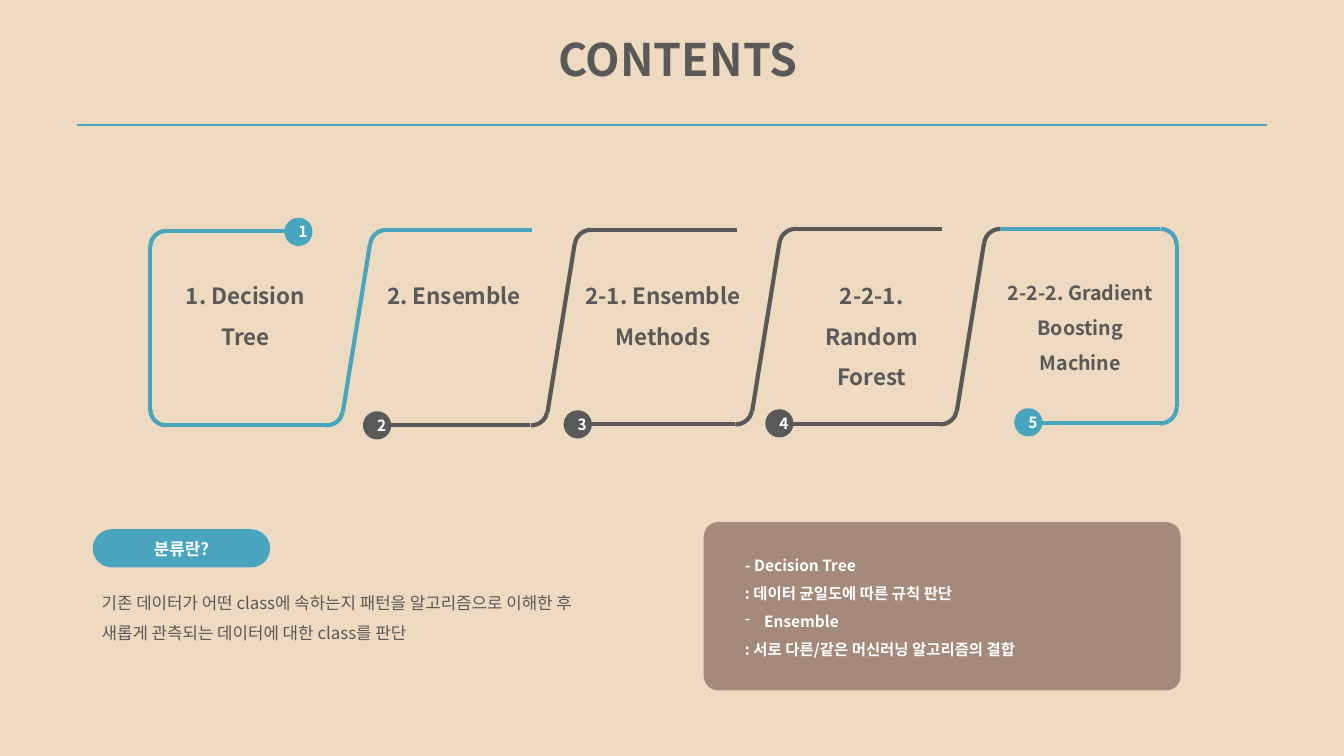
import dataclasses
import typing

import lxml.etree
import pptx
import pptx.dml.color
import pptx.enum.shapes
import pptx.enum.text
import pptx.oxml.ns
import pptx.util

COLORS = {
    "sand": "EEDAC1",
    "blue": "49A5BE",
    "gray": "595959",
    "brown": "A48A7B",
    "white": "FFFFFF",
}
FONT = "Noto Sans CJK KR"
CORNER = 0.32
PANEL_STEP = 2.03
LABEL_STEP = 2.07
SHAPES = pptx.enum.shapes.MSO_SHAPE
CENTER = pptx.enum.text.PP_ALIGN.CENTER
Inches = pptx.util.Inches


@dataclasses.dataclass
class Style:
    size: float
    color: str
    bold: bool = True
    centered: bool = True
    spacing: typing.Optional[float] = 1.5


@dataclasses.dataclass
class Line:
    x1: float
    y1: float
    x2: float
    y2: float
    color: str
    width: float = 3


@dataclasses.dataclass
class Corner:
    left: float
    top: float
    rotation: int
    start: float
    end: float
    color: str


@dataclasses.dataclass
class Badge:
    text: str
    left: float
    top: float
    color: str


@dataclasses.dataclass
class Label:
    text: str
    height: float
    size: float = 16


LABELS = [
    Label("1. Decision Tree", 0.86),
    Label("2. Ensemble", 0.45),
    Label("2-1. Ensemble Methods", 0.86),
    Label("2-2-1. Random Forest", 0.86),
    Label("2-2-2. Gradient Boosting Machine", 1.12, 14),
]
BADGES = [
    Badge("1", 2.82, 2.16, "blue"),
    Badge("2", 3.6, 4.08, "gray"),
    Badge("3", 5.59, 4.07, "gray"),
    Badge("4", 7.59, 4.06, "gray"),
    Badge("5", 10.06, 4.05, "blue"),
]
LEFT_END = [
    Corner(1.49, 2.29, 270, 162, 1.172, "blue"),
    Line(1.64, 2.29, 2.9, 2.29, "blue"),
    Line(1.49, 2.45, 1.49, 4.06, "blue"),
    Corner(1.49, 3.9, 180, 162, 0.945, "blue"),
]
RIGHT_END = [
    Corner(11.35, 3.88, 90, 162, 1.172, "blue"),
    Line(11.51, 4.2, 10.25, 4.2, "blue"),
    Line(11.67, 4.04, 11.67, 2.43, "blue"),
    Corner(11.35, 2.27, 0, 162, 0.945, "blue"),
    Line(11.51, 2.27, 9.92, 2.27, "blue"),
]


def rgb(name: str) -> pptx.dml.color.RGBColor:
    return pptx.dml.color.RGBColor.from_string(COLORS[name])


def write(paragraph, text: str, style: Style) -> None:
    if style.centered:
        paragraph.alignment = CENTER
    if style.spacing:
        paragraph.line_spacing = style.spacing
    for index, part in enumerate(text.split("\n")):
        if index:
            paragraph.add_line_break()
        run = paragraph.add_run()
        run.text = part
        run.font.name = FONT
        run.font.size = pptx.util.Pt(style.size)
        run.font.bold = style.bold
        run.font.color.rgb = rgb(style.color)
        east_asian = lxml.etree.SubElement(run.font._element, pptx.oxml.ns.qn("a:ea"))
        east_asian.set("typeface", FONT)


def add_text(slide, left: float, top: float, width: float, height: float,
             texts: typing.List[str], style: Style):
    box = slide.shapes.add_textbox(Inches(left), Inches(top), Inches(width), Inches(height))
    frame = box.text_frame
    frame.word_wrap = True
    frame.auto_size = pptx.enum.text.MSO_AUTO_SIZE.SHAPE_TO_FIT_TEXT
    for index, text in enumerate(texts):
        paragraph = frame.add_paragraph() if index else frame.paragraphs[0]
        write(paragraph, text, style)
    return frame


def add_block(slide, kind, left: float, top: float, width: float, height: float, color: str):
    shape = slide.shapes.add_shape(kind, Inches(left), Inches(top), Inches(width), Inches(height))
    shape.shadow.inherit = False
    shape.fill.solid()
    shape.fill.fore_color.rgb = rgb(color)
    shape.line.fill.background()
    return shape


def add_stroke(slide, item: typing.Union[Line, Corner]) -> None:
    if isinstance(item, Line):
        shape = slide.shapes.add_connector(
            pptx.enum.shapes.MSO_CONNECTOR.STRAIGHT,
            Inches(item.x1), Inches(item.y1), Inches(item.x2), Inches(item.y2))
        lxml.etree.SubElement(shape._element.spPr, pptx.oxml.ns.qn("a:effectLst"))
        shape.line.width = pptx.util.Pt(item.width)
    else:
        shape = slide.shapes.add_shape(
            SHAPES.ARC, Inches(item.left), Inches(item.top), Inches(CORNER), Inches(CORNER))
        shape.shadow.inherit = False
        shape.fill.background()
        shape.rotation = item.rotation
        shape.adjustments[0] = item.start
        shape.adjustments[1] = item.end
        shape.line.width = pptx.util.Pt(3)
    shape.line.color.rgb = rgb(item.color)


def divider(index: int) -> typing.List[typing.Union[Line, Corner]]:
    x = 1.64 + PANEL_STEP * index
    lift = 0.01 * (index // 2)
    top, bottom = 2.28 - lift, 4.22 - lift
    color = "gray" if index else "blue"
    strokes = [
        Line(x, bottom, x + 1.59, bottom, color),
        Corner(x + 1.44, bottom - CORNER, 90, 168.607, 1.459, color),
        Line(x + 1.76, bottom - 0.13, x + PANEL_STEP, top + 0.14, color),
        Corner(x + PANEL_STEP, top, 270, 166.35, 1.263, color),
    ]
    if index < 3:
        strokes.append(Line(x + 2.19, top, x + 3.64, top, color))
    return strokes


def main() -> None:
    presentation = pptx.Presentation()
    presentation.slide_width = Inches(13.33)
    presentation.slide_height = Inches(7.5)
    slide = presentation.slides.add_slide(presentation.slide_layouts[6])
    slide.background.fill.solid()
    slide.background.fill.fore_color.rgb = rgb("sand")

    summary = add_block(slide, SHAPES.ROUNDED_RECTANGLE, 6.98, 5.18, 4.73, 1.67, "brown")
    summary.adjustments[0] = 0.086
    add_text(slide, 3.8, 0, 5.85, 0.8, ["CONTENTS"], Style(32, "gray"))

    dividers = [stroke for index in range(4) for stroke in divider(index)]
    title_rule = Line(0.76, 1.24, 12.57, 1.24, "blue", 1.5)
    for stroke in [title_rule, *LEFT_END, *dividers, *RIGHT_END]:
        add_stroke(slide, stroke)

    for index, label in enumerate(LABELS):
        add_text(slide, 1.54 + LABEL_STEP * index, 2.62, 1.79, label.height,
                 [label.text], Style(label.size, "gray"))
    for badge in BADGES:
        circle = add_block(slide, SHAPES.OVAL, badge.left, badge.top, 0.28, 0.28, badge.color)
        write(circle.text_frame.paragraphs[0], badge.text, Style(11, "white", spacing=None))

    add_text(slide, 0.91, 5.73, 5.62, 0.67,
             ["기존 데이터가 어떤 class에 속하는지 패턴을 알고리즘으로 이해한 후",
              "새롭게 관측되는 데이터에 대한 class를 판단"],
             Style(12, "gray", bold=False, centered=False))
    question = add_block(slide, SHAPES.ROUNDED_RECTANGLE, 0.92, 5.25, 1.76, 0.38, "blue")
    question.adjustments[0] = 0.5
    write(question.text_frame.paragraphs[0], "분류란?", Style(12, "white", spacing=None))

    methods = add_text(slide, 7.29, 5.38, 4.05, 1.18,
                       ["- Decision Tree\n: 데이터 균일도에 따른 규칙 판단",
                        "Ensemble",
                        ": 서로 다른/같은 머신러닝 알고리즘의 결합"],
                       Style(11, "white", centered=False))
    properties = methods.paragraphs[1]._p.get_or_add_pPr()
    properties.set("marL", str(Inches(0.19)))
    properties.set("indent", str(-Inches(0.19)))
    lxml.etree.SubElement(properties, pptx.oxml.ns.qn("a:buChar")).set("char", "-")

    presentation.save("out.pptx")


if __name__ == "__main__":
    main()
